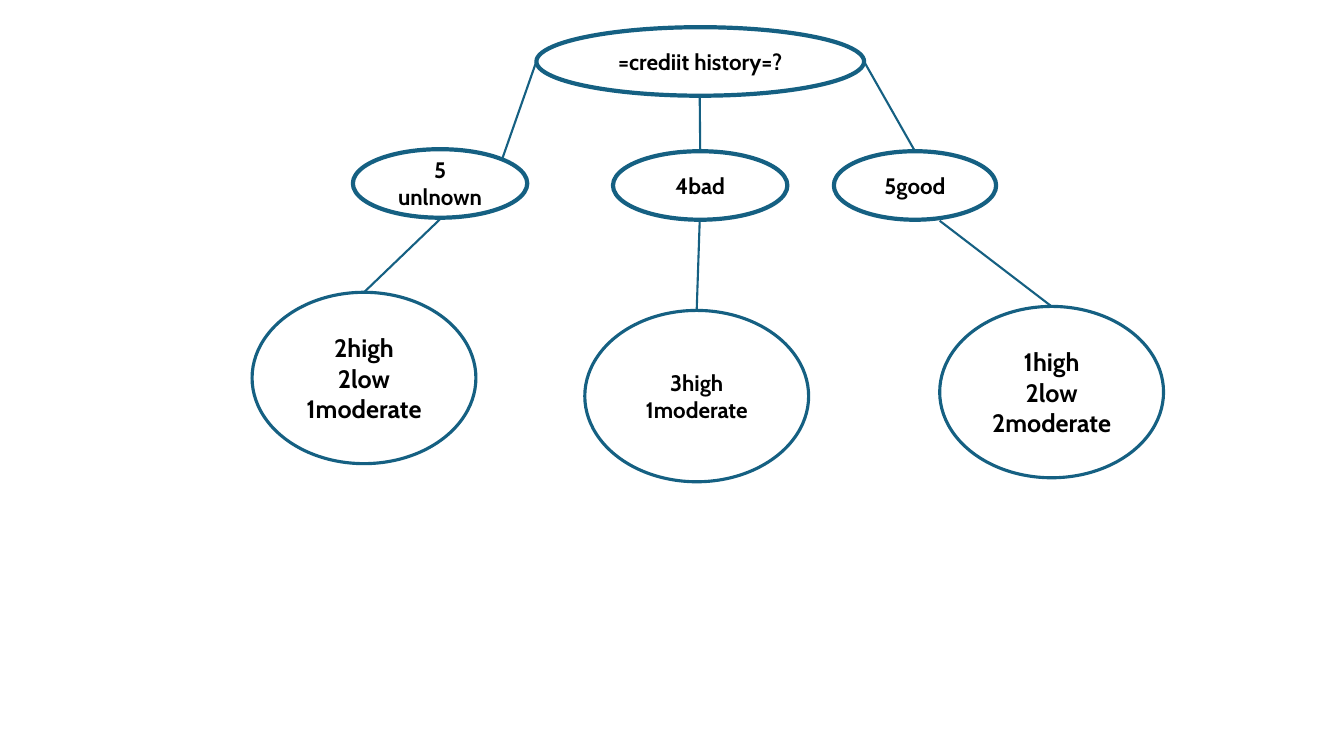
from lxml.etree import SubElement
from pptx import Presentation
from pptx.dml.color import RGBColor
from pptx.enum.shapes import MSO_CONNECTOR, MSO_SHAPE
from pptx.enum.text import MSO_ANCHOR, PP_ALIGN
from pptx.oxml.ns import qn
from pptx.util import Inches, Pt

BLUE, WHITE, BLACK = "156082", "FFFFFF", "000000"
FONT = "Cabin"
NODE_HEIGHT = 0.68
LEAF_WIDTH, LEAF_HEIGHT = 2.22, 1.7
TOP = 0  # connection site at the top of an ellipse


def color(value):
    return RGBColor.from_string(value)


def add_ellipse(page, left, top, width, height, lines, size, border):
    ellipse = page.shapes.add_shape(
        MSO_SHAPE.OVAL, Inches(left), Inches(top), Inches(width), Inches(height))
    ellipse.shadow.inherit = False
    ellipse.fill.solid()
    ellipse.fill.fore_color.rgb = color(WHITE)
    ellipse.line.color.rgb = color(BLUE)
    ellipse.line.width = Pt(border)
    frame = ellipse.text_frame
    frame.word_wrap = True
    frame.vertical_anchor = MSO_ANCHOR.MIDDLE
    for index, line in enumerate(lines):
        para = frame.add_paragraph() if index else frame.paragraphs[0]
        para.text = line
        para.alignment = PP_ALIGN.CENTER
        para.font.name = FONT
        para.font.size = Pt(size)
        para.font.bold = True
        para.font.color.rgb = color(BLACK)
    return ellipse


def add_node(page, left, top, width, lines):
    return add_ellipse(page, left, top, width, NODE_HEIGHT, lines, 16, 3)


def add_leaf(page, left, top, lines, size):
    return add_ellipse(page, left, top, LEAF_WIDTH, LEAF_HEIGHT, lines, size, 2.25)


def add_branch(page, start, end):
    branch = page.shapes.add_connector(
        MSO_CONNECTOR.STRAIGHT, *(Inches(value) for value in start + end))
    branch.line.color.rgb = color(BLUE)
    branch.line.width = Pt(1.5)
    SubElement(branch._element.spPr, qn("a:effectLst"))
    return branch


def add_branch_to_top(page, start, child):
    branch = add_branch(page, start, start)
    branch.end_connect(child, TOP)


def main():
    deck = Presentation()
    deck.slide_width, deck.slide_height = Inches(13.33), Inches(7.5)
    page = deck.slides.add_slide(deck.slide_layouts[6])

    # Question at the root
    add_node(page, 5.32, 0.27, 3.25, ["=crediit history=?"])

    # Answers
    add_node(page, 3.5, 1.48, 1.73, ["5", "unlnown"])
    bad = add_node(page, 6.08, 1.5, 1.73, ["4bad"])
    good = add_node(page, 8.27, 1.5, 1.61, ["5good"])

    # Risk counts for each answer
    unknown_risk = add_leaf(page, 2.5, 2.9, ["2high", "2low", "1moderate"], 18)
    bad_risk = add_leaf(page, 5.8, 3.08, ["3high", "1moderate"], 16)
    good_risk = add_leaf(page, 9.32, 3.04, ["1high", "2low", "2moderate"], 18)

    # Branches
    add_branch(page, (5.32, 0.61), (4.98, 1.58))
    for start, child in [
        ((6.94, 0.95), bad),
        ((8.57, 0.61), good),
        ((4.37, 2.17), unknown_risk),
        ((6.94, 2.19), bad_risk),
        ((9.32, 2.19), good_risk),
    ]:
        add_branch_to_top(page, start, child)

    deck.save("out.pptx")


if __name__ == "__main__":
    main()
